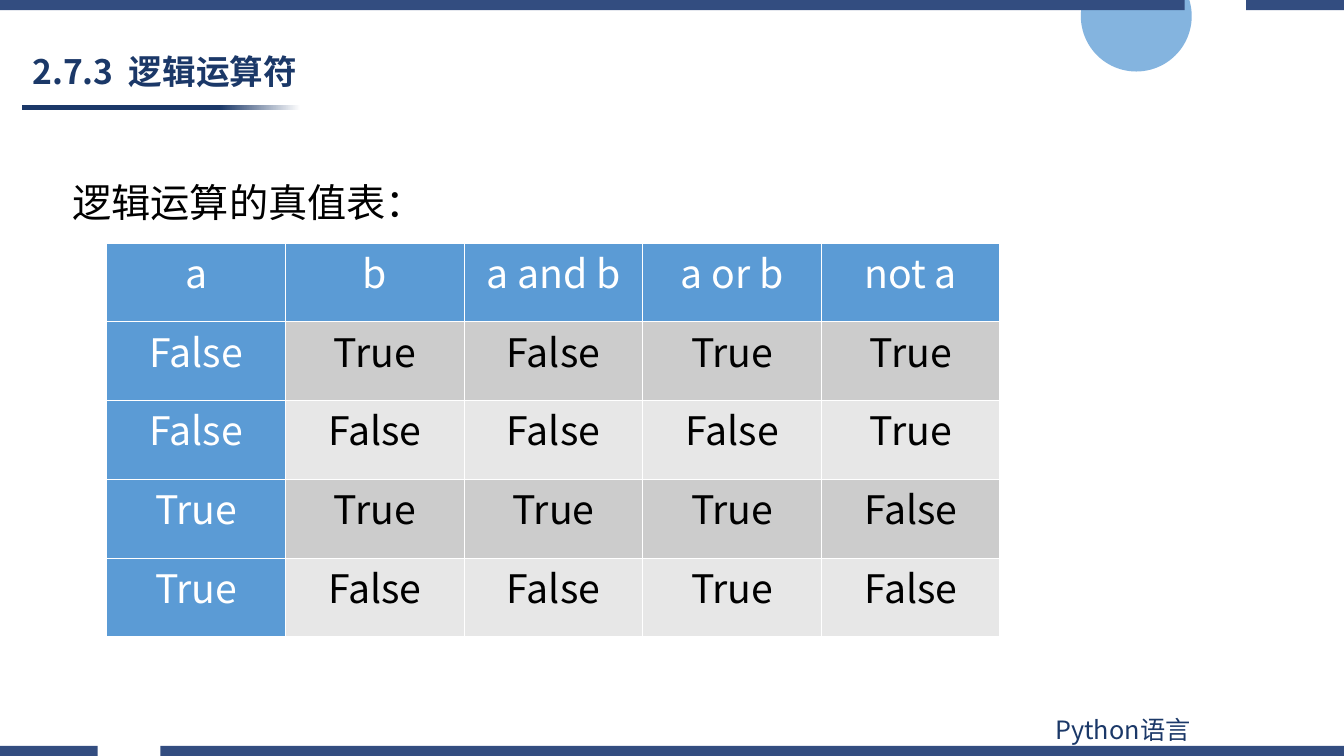
from dataclasses import dataclass

from lxml import etree
from pptx import Presentation
from pptx.dml.color import RGBColor
from pptx.enum import shapes, text
from pptx.oxml import ns
from pptx.util import Inches, Pt

TITLE = "2.7.3  逻辑运算符"
INTRO = "逻辑运算的真值表："
COURSE = "Python语言"
TRUTH_TABLE = [
    ("a", "b", "a and b", "a or b", "not a"),
    ("False", "True", "False", "True", "True"),
    ("False", "False", "False", "False", "True"),
    ("True", "True", "True", "True", "False"),
    ("True", "False", "False", "True", "False"),
]
# Each edge band: top, then the (left, right) spans it covers
EDGE_BANDS = [
    (7.4, [(1.59, 13.33), (0, 0.97)]),
    (0, [(0, 11.75), (12.36, 13.33)]),
]
BAND_HEIGHT = 0.1


@dataclass(frozen=True)
class Theme:
    font: str = "Noto Sans CJK SC"
    navy: str = "1B3868"
    band: str = "334D80"
    blue: str = "5B9BD5"
    white: str = "FFFFFF"
    black: str = "000000"
    dark_row: str = "CCCCCC"
    light_row: str = "E7E7E7"
    title_size: int = 24
    body_size: int = 28
    footer_size: int = 18


THEME = Theme()


def rgb(color):
    return RGBColor.from_string(color)


def write(frame, words, *, size, color, bold=False, align=None, spacing=None,
          before=None, anchor=text.MSO_ANCHOR.TOP):
    frame.word_wrap = True
    frame.vertical_anchor = anchor
    para = frame.paragraphs[0]
    para.alignment = align
    para.line_spacing = spacing
    para.space_before = before
    span = para.add_run()
    span.text = words
    font = span.font
    font.name, font.size, font.bold = THEME.font, Pt(size), bold
    font.color.rgb = rgb(color)
    east_asian = etree.SubElement(font._element, ns.qn("a:ea"))
    east_asian.set("typeface", THEME.font)


def place(shape, left, top, width, height):
    shape.left, shape.top = Inches(left), Inches(top)
    shape.width, shape.height = Inches(width), Inches(height)


def add_circle(page):
    circle = page.shapes.add_shape(shapes.MSO_SHAPE.OVAL, Inches(10.72),
                                   Inches(-0.39), Inches(1.1), Inches(1.1))
    circle.shadow.inherit = False
    circle.line.fill.background()
    circle.fill.solid()
    circle.fill.fore_color.rgb = rgb(THEME.blue)
    color = circle._element.spPr.find(".//" + ns.qn("a:srgbClr"))
    etree.SubElement(color, ns.qn("a:alpha")).set("val", "75000")


def add_title_rule(page):
    rule = page.shapes.add_shape(shapes.MSO_SHAPE.RECTANGLE, Inches(0.22),
                                 Inches(1.04), Inches(2.76), Inches(0.05))
    rule.shadow.inherit = False
    rule.line.fill.background()
    rule.fill.gradient()
    rule.fill.gradient_angle = 0
    stops = [(0.71, THEME.navy), (1, THEME.white)]
    for stop, (position, color) in zip(rule.fill.gradient_stops, stops):
        stop.position = position
        stop.color.rgb = rgb(color)


def add_band(page, top, spans):
    """Draw one edge band as a single outline with a gap."""
    upper, lower = Inches(top), Inches(top + BAND_HEIGHT)
    builder = page.shapes.build_freeform(Inches(spans[0][0]), upper)
    for index, (start, end) in enumerate(spans):
        left, right = Inches(start), Inches(end)
        if index:
            builder.move_to(left, upper)
        builder.add_line_segments([(right, upper), (right, lower), (left, lower)])
    band = builder.convert_to_shape()
    band.shadow.inherit = False
    band.line.fill.background()
    band.fill.solid()
    band.fill.fore_color.rgb = rgb(THEME.band)


def set_borders(cell, color, width):
    properties = cell._tc.get_or_add_tcPr()
    for index, side in enumerate(("lnL", "lnR", "lnT", "lnB")):
        line = etree.Element(ns.qn("a:" + side), w=str(Pt(width)))
        fill = etree.SubElement(line, ns.qn("a:solidFill"))
        etree.SubElement(fill, ns.qn("a:srgbClr"), val=color)
        properties.insert(index, line)


def add_truth_table(page):
    rows, columns = len(TRUTH_TABLE), len(TRUTH_TABLE[0])
    table = page.shapes.add_table(rows, columns, Inches(1.06), Inches(2.41),
                                  Inches(8.86), Inches(3.91)).table
    for row, values in enumerate(TRUTH_TABLE):
        for column, value in enumerate(values):
            heading = row == 0 or column == 0
            stripe = THEME.dark_row if row % 2 else THEME.light_row
            cell = table.cell(row, column)
            cell.margin_left = cell.margin_right = Inches(0.07)
            cell.margin_top = cell.margin_bottom = 0
            cell.fill.solid()
            cell.fill.fore_color.rgb = rgb(THEME.blue if heading else stripe)
            set_borders(cell, THEME.white, 1)
            write(cell.text_frame, value, size=THEME.body_size,
                  color=THEME.white if heading else THEME.black,
                  align=text.PP_ALIGN.CENTER)


def add_text(page, words, area, **style):
    box = page.shapes.add_textbox(0, 0, 0, 0)
    place(box, *area)
    write(box.text_frame, words, **style)


def main():
    deck = Presentation()
    deck.slide_width, deck.slide_height = Inches(13.33), Inches(7.5)
    page = deck.slides.add_slide(deck.slide_layouts[5])

    add_circle(page)
    add_title_rule(page)
    for top, spans in EDGE_BANDS:
        add_band(page, top, spans)
    add_text(page, COURSE, (10.37, 7.04, 2.94, 0.4),
             size=THEME.footer_size, color=THEME.navy)

    title = page.shapes.title
    place(title, 0.22, 0.45, 6.04, 0.56)
    write(title.text_frame, TITLE, size=THEME.title_size, color=THEME.navy,
          bold=True, align=text.PP_ALIGN.LEFT, spacing=0.9,
          anchor=text.MSO_ANCHOR.MIDDLE)
    add_text(page, INTRO, (0.62, 1.49, 9.76, 0.8), size=THEME.body_size,
             color=THEME.black, spacing=1.5, before=Pt(10))
    add_truth_table(page)
    deck.save("out.pptx")


if __name__ == "__main__":
    main()
